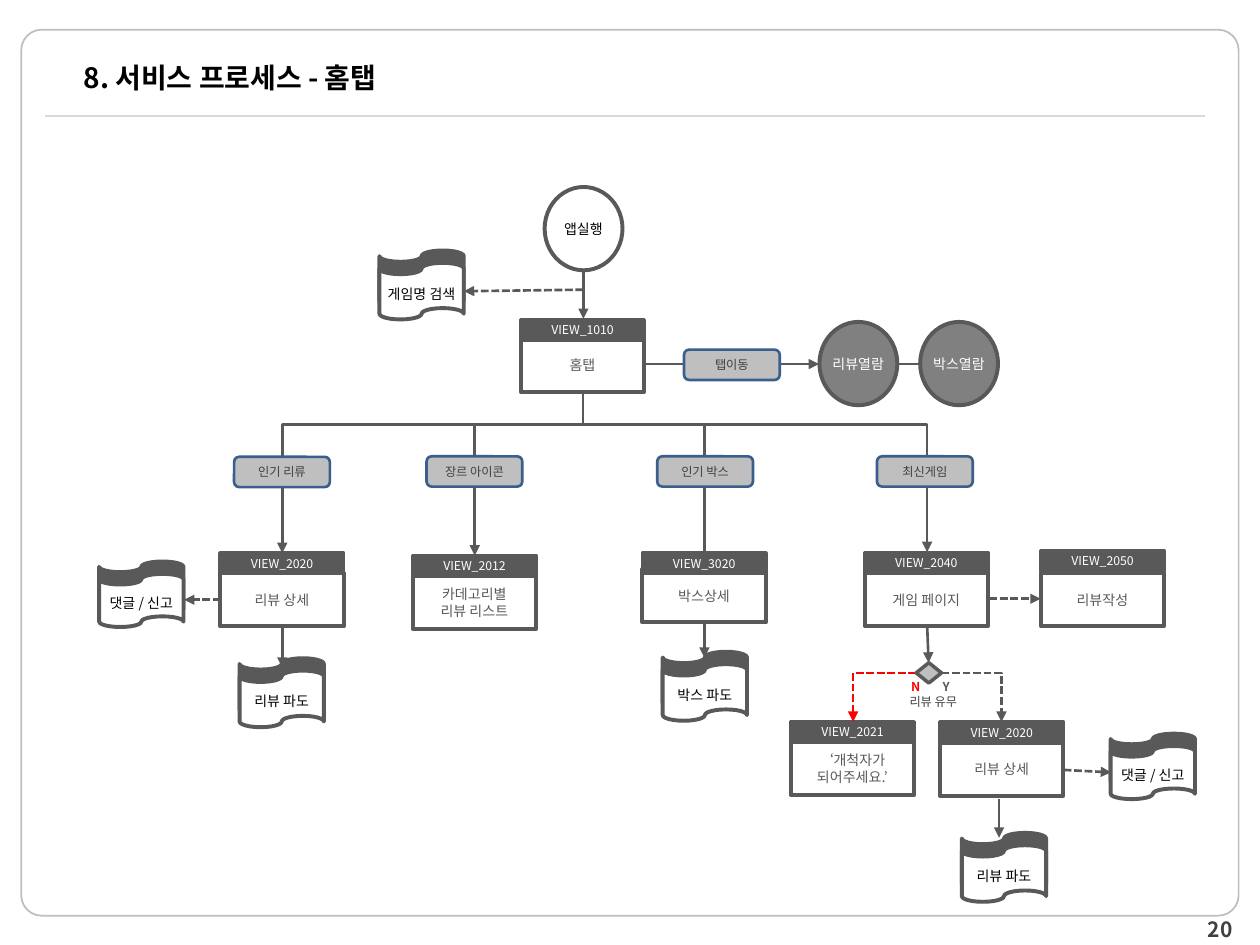
from lxml import etree
from pptx import Presentation
from pptx import util as u
from pptx.dml.color import RGBColor
from pptx.enum import dml, shapes, text
from pptx.oxml import ns

FONT = "Noto Sans CJK KR"
COLORS = {
    "white": "FFFFFF", "black": "000000", "dark": "595959", "ink": "404040",
    "gray": "808080", "silver": "BFBFBF", "rule": "D9D9D9", "blue": "3A5F8C",
    "red": "FF0000",
}
KIND = shapes.MSO_SHAPE
CENTER = text.PP_ALIGN.CENTER


def color(name):
    return RGBColor.from_string(COLORS[name])


def write(shape, words, size, tint, align=CENTER, bold=False, wrap=True,
          anchor=text.MSO_ANCHOR.MIDDLE, margins=(0.23, 0.1)):
    frame = shape.text_frame
    frame.word_wrap = wrap
    frame.vertical_anchor = anchor
    frame.margin_left = frame.margin_right = u.Cm(margins[0])
    frame.margin_top = frame.margin_bottom = u.Cm(margins[1])
    para = frame.paragraphs[0]
    para.text = words
    para.alignment = align
    for span in para.runs:
        span.font.size = u.Pt(size)
        span.font.name = FONT
        span.font.bold = bold
        span.font.color.rgb = color(tint)
        east = etree.SubElement(span.font._element, ns.qn("a:ea"))
        east.set("typeface", FONT)


def add_block(parent, kind, box, fill, line, width):
    block = parent.shapes.add_shape(kind, *map(u.Cm, box))
    block.shadow.inherit = False
    if fill:
        block.fill.solid()
        block.fill.fore_color.rgb = color(fill)
    else:
        block.fill.background()
    block.line.color.rgb = color(line)
    block.line.width = u.Pt(width)
    return block


def add_label(parent, box, words, size, tint, **style):
    label = parent.shapes.add_textbox(*map(u.Cm, box))
    write(label, words, size, tint, **style)


def add_wire(page, start, end, kind=shapes.MSO_CONNECTOR.STRAIGHT,
             tint="dark", arrow=True, dashed=False, width=1.5):
    wire = page.shapes.add_connector(kind, *map(u.Cm, (*start, *end)))
    wire.line.color.rgb = color(tint)
    wire.line.width = u.Pt(width)
    if dashed:
        wire.line.dash_style = dml.MSO_LINE.SQUARE_DOT
    if arrow:
        tail = etree.SubElement(wire.line._ln, ns.qn("a:tailEnd"))
        tail.set("type", "triangle")
    etree.SubElement(wire._element.spPr, ns.qn("a:effectLst"))
    return wire


def add_branch(page, start, end, bus, arrow=True):
    """Elbow that drops to the bus height, runs sideways, then drops again."""
    (x1, y1), (x2, y2) = start, end
    drop, run = y2 - y1, abs(x2 - x1)
    left, top = (x1 + x2 - drop) / 2, (y1 + y2 - run) / 2
    wire = add_wire(page, (left, top), (left + drop, top + run),
                    shapes.MSO_CONNECTOR.ELBOW, arrow=arrow)
    frame = wire._element.spPr.find(ns.qn("a:xfrm"))
    frame.set("rot", str((90 if x2 < x1 else 270) * 60000))
    if x2 > x1:
        frame.set("flipH", "1")
    guides = wire._element.spPr.find(ns.qn("a:prstGeom")).get_or_add_avLst()
    guide = etree.SubElement(guides, ns.qn("a:gd"))
    guide.set("name", "adj1")
    guide.set("fmla", f"val {round((bus - y1) / drop * 100000)}")


def add_corner(page, start, end, tint):
    wire = add_wire(page, start, end, shapes.MSO_CONNECTOR.ELBOW, tint, dashed=True)
    wire._element.spPr.find(ns.qn("a:prstGeom")).set("prst", "bentConnector2")


def add_view(page, box, code, words):
    left, top, width, height = box
    body_height = 1.07
    body = add_block(page, KIND.RECTANGLE,
                     (left, top + height - body_height, width, body_height),
                     "white", "dark", 2.25)
    write(body, words, 8, "dark")
    header = add_block(page, KIND.RECTANGLE, (left, top, width, 0.41),
                       "dark", "dark", 2)
    write(header, code, 7, "white")


def add_tape(page, box, words):
    left, top, width, height = box
    fold = 0.25
    overhang = 0.2  # the label is wider than the tape, so it stays on one line
    group = page.shapes.add_group_shape()
    for shift, fill in ((0, "dark"), (fold, "white")):
        add_block(group, KIND.FLOWCHART_PUNCHED_TAPE,
                  (left, top + shift, width, height - fold), fill, "dark", 2.25)
    add_label(group, (left - overhang, top + height * 0.41, width + 2 * overhang, 0.61),
              words, 8, "black", wrap=False, anchor=text.MSO_ANCHOR.TOP,
              margins=(0, 0.13))


def add_circle(page, box, words, fill, tint):
    circle = add_block(page, KIND.OVAL, box, fill, "dark", 2.25)
    write(circle, words, 8, tint, wrap=False)


def add_tag(page, box, words):
    tag = add_block(page, KIND.ROUNDED_RECTANGLE, box, "silver", "blue", 1.5)
    write(tag, words, 7, "ink")


def add_decision(page, box):
    left, top, width, height = box
    middle = top + height / 2
    add_corner(page, (left + width, middle), (20.19, 14.55), "dark")
    add_corner(page, (left, middle), (17.2, 14.55), "red")
    add_block(page, KIND.FLOWCHART_DECISION, box, "silver", "dark", 2)
    for dx, dy, wide, words, tint, bold in (
            (-0.33, 0.23, 0.61, "N", "red", True),
            (0.3, 0.23, 0.61, "Y", "dark", True),
            (-0.39, 0.53, 1.47, "리뷰 유무", "ink", False)):
        add_label(page, (left + dx, top + dy, wide, 0.53), words, 7, tint,
                  bold=bold, wrap=False, anchor=text.MSO_ANCHOR.TOP)


def add_page_frame(page, box):
    left, top, width, height = box
    frame = add_block(page, KIND.ROUNDED_RECTANGLE, box, None, "silver", 1)
    frame.adjustments[0] = 0.023
    add_wire(page, (left + 0.48, top + 1.74), (left + 23.86, top + 1.74),
             tint="rule", arrow=False)
    add_label(page, (left + 18.75, top + height + 0.06, 5.92, 0.41), "20", 12, "ink",
              align=text.PP_ALIGN.RIGHT, bold=True, margins=(0.25, 0.13))
    add_label(page, (left + 1.01, top - 0.14, 22.53, 2.18), "8. 서비스 프로세스 - 홈탭",
              16, "black", align=text.PP_ALIGN.LEFT, bold=True, margins=(0.25, 0.13))


def add_flow(page):
    # Start and tab circles
    for left, top, words, fill, tint in (
            (10.98, 3.77, "앱실행", "white", "black"),
            (16.52, 6.49, "리뷰열람", "gray", "white"),
            (18.55, 6.49, "박스열람", "gray", "white")):
        add_circle(page, (left, top, 1.57, 1.68), words, fill, tint)

    # Views
    for left, top, height, code, words in (
            (10.5, 6.45, 1.45, "VIEW_1010", "홈탭"),
            (4.44, 11.15, 1.48, "VIEW_2020", "리뷰 상세"),
            (8.32, 11.2, 1.48, "VIEW_2012", "카데고리별\n리뷰 리스트"),
            (12.95, 11.15, 1.4, "VIEW_3020", "박스상세"),
            (17.43, 11.14, 1.48, "VIEW_2040", "게임 페이지"),
            (20.98, 11.1, 1.52, "VIEW_2050", "리뷰작성"),
            (15.94, 14.55, 1.48, "VIEW_2021", "‘개척자가 되어주세요.’"),
            (18.95, 14.56, 1.48, "VIEW_2020", "리뷰 상세")):
        add_view(page, (left, top, 2.49, height), code, words)

    # Tapes
    for left, top, height, words in (
            (7.65, 5.05, 1.39, "게임명 검색"),
            (2.0, 11.32, 1.32, "댓글 / 신고"),
            (4.83, 13.27, 1.39, "리뷰 파도"),
            (13.36, 13.14, 1.39, "박스 파도"),
            (22.39, 14.79, 1.32, "댓글 / 신고"),
            (19.39, 16.79, 1.39, "리뷰 파도")):
        add_tape(page, (left, top, 1.7, height), words)

    # Straight wires
    for start, end in (
            ((11.76, 5.46), (11.76, 6.43)), ((13, 7.34), (16.51, 7.34)),
            ((5.69, 12.65), (5.69, 13.46)), ((14.2, 12.55), (14.2, 13.26)),
            ((18.69, 12.6), (18.72, 13.36)), ((20.14, 16.1), (20.14, 16.89))):
        add_wire(page, start, end)
    for start, end in (
            ((11.76, 5.84), (9.35, 5.87)), ((4.45, 12.09), (3.71, 12.09)),
            ((19.94, 12.07), (20.98, 12.07)), ((21.44, 15.52), (22.4, 15.57))):
        add_wire(page, start, end, dashed=True)
    add_wire(page, (18.08, 7.34), (18.54, 7.34), arrow=False)

    # Branches of the home tab, with their tags
    for end, arrow in (((5.69, 11.15), True), ((9.57, 11.2), True),
                       ((14.2, 11.15), False), ((18.69, 11.13), True)):
        add_branch(page, (11.75, 7.87), end, 8.56, arrow)
    for left, top, words in (
            (13.79, 7.05, "탭이동"), (4.72, 9.21, "인기 리류"), (8.6, 9.2, "장르 아이콘"),
            (13.25, 9.2, "인기 박스"), (17.68, 9.2, "최신게임")):
        add_tag(page, (left, top, 1.93, 0.61), words)

    add_decision(page, (18.47, 13.36, 0.51, 0.41))


def main():
    deck = Presentation()
    deck.slide_width, deck.slide_height = u.Cm(25.4), u.Cm(19.05)
    page = deck.slides.add_slide(deck.slide_layouts[6])
    add_page_frame(page, (0.43, 0.6, 24.54, 17.86))
    add_flow(page)
    deck.save("out.pptx")


if __name__ == "__main__":
    main()
